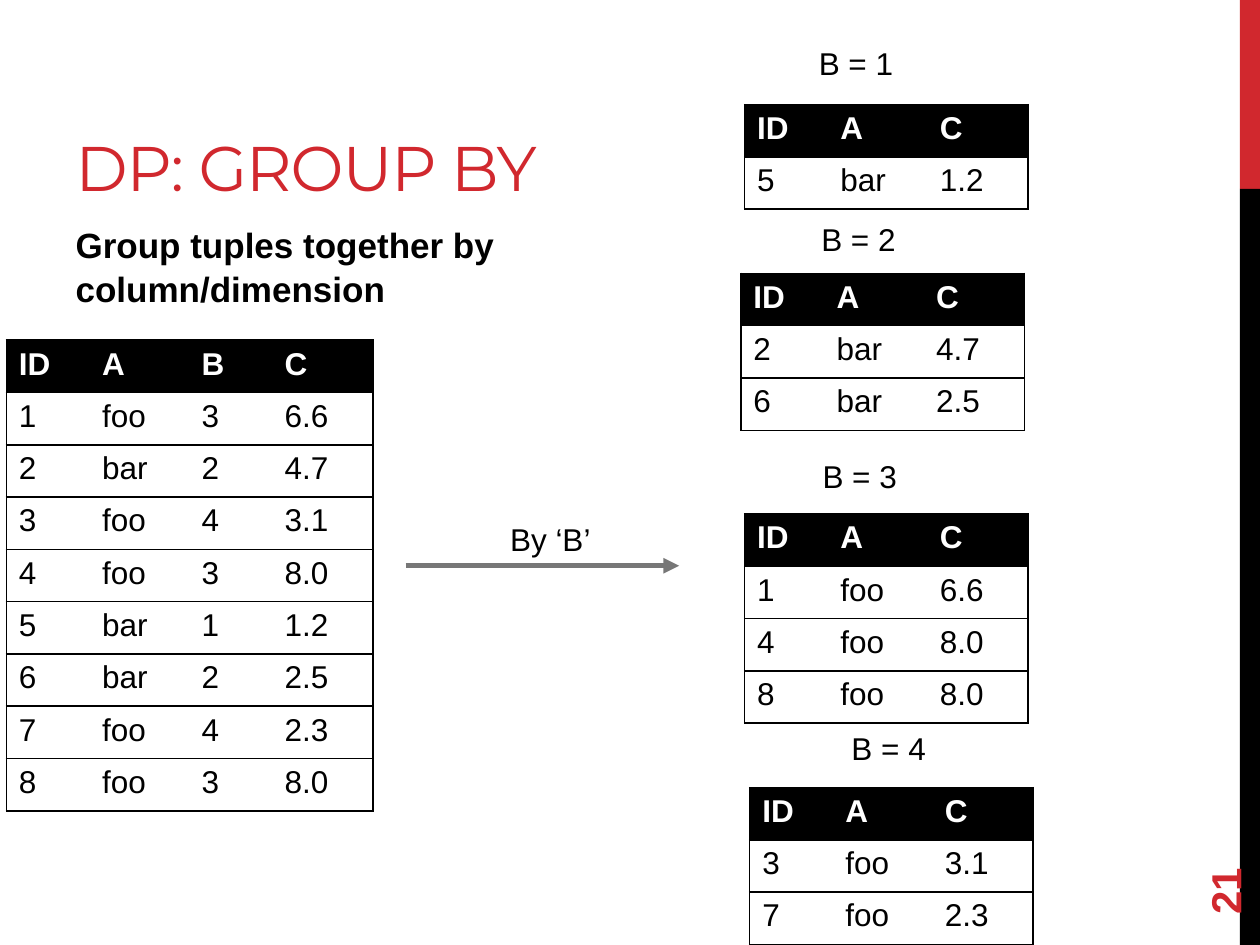
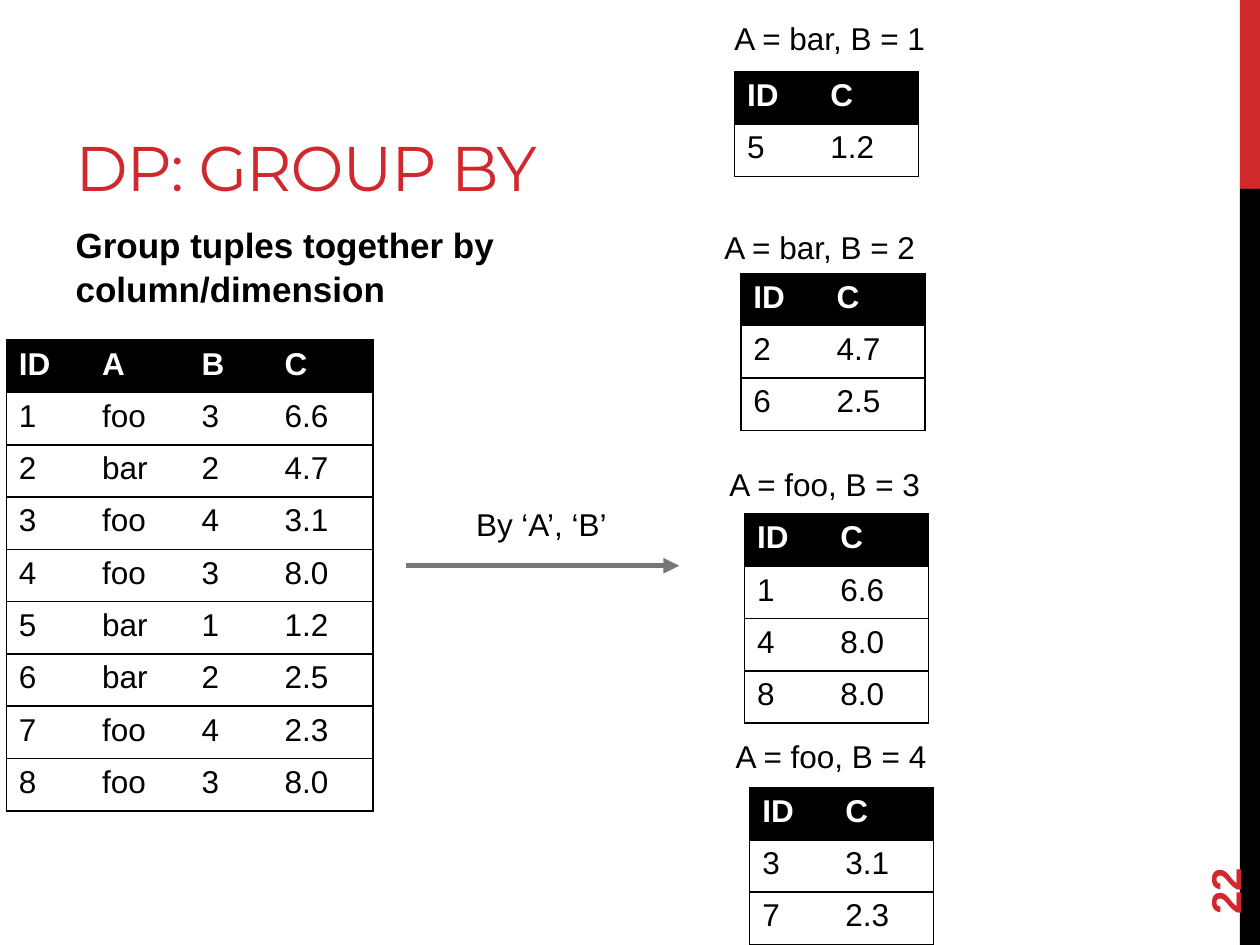
from dataclasses import dataclass
from itertools import groupby

from lxml.etree import SubElement
from pptx import Presentation
from pptx.dml.color import RGBColor
from pptx.enum.shapes import MSO_CONNECTOR, MSO_SHAPE
from pptx.enum.text import MSO_ANCHOR, MSO_AUTO_SIZE, PP_ALIGN
from pptx.oxml.ns import qn
from pptx.slide import Slide
from pptx.util import Inches, Pt


@dataclass(frozen=True)
class Theme:
    red: RGBColor = RGBColor(0xD1, 0x28, 0x2E)
    black: RGBColor = RGBColor(0, 0, 0)
    white: RGBColor = RGBColor(0xFF, 0xFF, 0xFF)
    grey: RGBColor = RGBColor(0x77, 0x77, 0x77)
    title_font: str = "Montserrat"
    body_font: str = "Arial"
    title_size: Pt = Pt(36)
    number_size: Pt = Pt(24)
    body_size: Pt = Pt(20)
    text_size: Pt = Pt(18)
    border: Pt = Pt(1)
    arrow: Pt = Pt(3)


@dataclass(frozen=True)
class Box:
    left: float
    top: float
    width: float
    height: float

    def emu(self) -> tuple:
        return tuple(Inches(v) for v in (self.left, self.top, self.width, self.height))


@dataclass(frozen=True)
class Band:
    box: Box
    color: RGBColor


@dataclass(frozen=True)
class Panel:
    """Places for one group: its label and its table."""
    label: Box
    table_left: float
    table_top: float


@dataclass(frozen=True)
class GroupSlide:
    number: int
    keys: str
    caption: Box
    panels: tuple


THEME = Theme()
BANDS = (Band(Box(9.84, 0, 0.16, 1.5), THEME.red),
         Band(Box(9.84, 1.5, 0.16, 6), THEME.black))
TITLE_BOX = Box(0.5, 0.17, 7.12, 1.5)
BODY_BOX = Box(0.5, 1.71, 5.66, 0.82)
NUMBER_BOX = Box(9, 6.44, 1.44, 0.4)

COLUMN_WIDTHS = {"ID": 0.66, "A": 0.79, "B": 0.66, "C": 0.8}
ROW_HEIGHT = Inches(0.83) // 2
RECORDS = [dict(zip(COLUMN_WIDTHS, line.split())) for line in (
    "1 foo 3 6.6",
    "2 bar 2 4.7",
    "3 foo 4 3.1",
    "4 foo 3 8.0",
    "5 bar 1 1.2",
    "6 bar 2 2.5",
    "7 foo 4 2.3",
    "8 foo 3 8.0",
)]

SLIDES = (
    GroupSlide(21, "B", Box(3.95, 4.08, 1.23, 0.4), (
        Panel(Box(6.4, 0.3, 0.8, 0.4), 5.91, 0.83),
        Panel(Box(6.42, 1.7, 0.8, 0.4), 5.88, 2.17),
        Panel(Box(6.43, 3.58, 0.8, 0.4), 5.91, 4.08),
        Panel(Box(6.66, 5.74, 0.8, 0.4), 5.95, 6.25),
    )),
    GroupSlide(22, "AB", Box(3.68, 3.96, 1.96, 0.4), (
        Panel(Box(5.73, 0.1, 1.73, 0.4), 5.83, 0.57),
        Panel(Box(5.65, 1.76, 1.73, 0.4), 5.88, 2.17),
        Panel(Box(5.69, 3.64, 1.73, 0.4), 5.91, 4.08),
        Panel(Box(5.74, 5.8, 1.73, 0.4), 5.95, 6.25),
    )),
)


def add_run(p, text: str, size: Pt = THEME.text_size, color: RGBColor = THEME.black,
            bold: bool = False, font: str = THEME.body_font):
    r = p.add_run()
    r.text = text
    r.font.name, r.font.size, r.font.bold = font, size, bold
    r.font.color.rgb = color
    return r


def place(sp, box: Box) -> None:
    sp.left, sp.top, sp.width, sp.height = box.emu()


def add_label(s: Slide, box: Box, text: str, wrap: bool = False) -> None:
    tf = s.shapes.add_textbox(*box.emu()).text_frame
    tf.word_wrap = wrap
    add_run(tf.paragraphs[0], text)


def add_frame(s: Slide, number: int) -> None:
    """Draw the side bands, title, lead sentence and slide number."""
    for band in BANDS:
        sp = s.shapes.add_shape(MSO_SHAPE.RECTANGLE, *band.box.emu())
        sp.shadow.inherit = False
        sp.fill.solid()
        sp.fill.fore_color.rgb = band.color
        sp.line.fill.background()

    title, body = s.shapes.title, s.placeholders[1]
    for sp, box, anchor in ((title, TITLE_BOX, MSO_ANCHOR.BOTTOM),
                            (body, BODY_BOX, MSO_ANCHOR.TOP)):
        place(sp, box)
        sp.text_frame.auto_size = MSO_AUTO_SIZE.NONE
        sp.text_frame.vertical_anchor = anchor
        sp.text_frame.paragraphs[0].alignment = PP_ALIGN.LEFT

    r = add_run(title.text_frame.paragraphs[0], "DP: GROUP BY", THEME.title_size,
                THEME.red, font=THEME.title_font)
    r.font._element.set("spc", "-60")

    p = body.text_frame.paragraphs[0]
    p.space_before, p.space_after, p.line_spacing = Pt(0), Pt(6), 1.05
    pPr = p._p.get_or_add_pPr()
    pPr.set("marL", "0")
    pPr.set("indent", "0")
    SubElement(pPr, qn("a:buNone"))
    add_run(p, "Group tuples together by column/dimension", THEME.body_size, bold=True)

    sp = s.shapes.add_textbox(*NUMBER_BOX.emu())
    sp.rotation = 270
    tf = sp.text_frame
    tf.word_wrap = True
    tf.vertical_anchor = MSO_ANCHOR.MIDDLE
    add_run(tf.paragraphs[0], str(number), THEME.number_size, THEME.red, bold=True)


def set_borders(cell, sides: str) -> None:
    """Rule the named sides (from L, R, T, B) and clear the others."""
    tcPr = cell._tc.get_or_add_tcPr()
    for side in "LRTB":
        ln = SubElement(tcPr, qn(f"a:ln{side}"), w=str(int(THEME.border)))
        if side in sides:
            fill = SubElement(ln, qn("a:solidFill"))
            SubElement(fill, qn("a:srgbClr"), val=str(THEME.black))
        else:
            SubElement(ln, qn("a:noFill"))


def add_records(s: Slide, left: float, top: float, columns: list, records: list) -> None:
    rows = [columns] + [[record[c] for c in columns] for record in records]
    width = Inches(sum(COLUMN_WIDTHS[c] for c in columns))
    table = s.shapes.add_table(len(rows), len(columns), Inches(left), Inches(top),
                               width, ROW_HEIGHT * len(rows)).table
    table.horz_banding = False
    for col, name in zip(table.columns, columns):
        col.width = Inches(COLUMN_WIDTHS[name])
    for i, values in enumerate(rows):
        header = i == 0
        table.rows[i].height = ROW_HEIGHT
        for j, value in enumerate(values):
            cell = table.cell(i, j)
            set_borders(cell, "TB" + "L" * (j == 0) + "R" * (j == len(columns) - 1))
            cell.fill.solid()
            cell.fill.fore_color.rgb = THEME.black if header else THEME.white
            add_run(cell.text_frame.paragraphs[0], value, bold=header,
                    color=THEME.white if header else THEME.black)


def add_arrow(s: Slide) -> None:
    y = Inches(4.49)
    c = s.shapes.add_connector(MSO_CONNECTOR.STRAIGHT, Inches(3.22), y, Inches(5.39), y)
    c.line.color.rgb = THEME.grey
    c.line.width = THEME.arrow
    spPr = c._element.spPr
    SubElement(spPr.find(qn("a:ln")), qn("a:tailEnd"), type="triangle")
    SubElement(spPr, qn("a:effectLst"))


def add_groups(s: Slide, spec: GroupSlide) -> None:
    """Split the records by the key columns, one labelled table per group."""
    def key(record: dict) -> tuple:
        return tuple(record[k] for k in spec.keys)

    columns = [c for c in COLUMN_WIDTHS if c not in spec.keys]
    groups = groupby(sorted(RECORDS, key=key), key)
    for panel, (values, records) in zip(spec.panels, groups):
        label = ", ".join(f"{k} = {v}" for k, v in zip(spec.keys, values))
        add_label(s, panel.label, label)
        add_records(s, panel.table_left, panel.table_top, columns, list(records))


def main() -> None:
    prs = Presentation()
    prs.slide_width, prs.slide_height = Inches(10), Inches(7.5)
    for spec in SLIDES:
        s = prs.slides.add_slide(prs.slide_layouts[1])
        add_frame(s, spec.number)
        add_records(s, 0.05, 2.7, list(COLUMN_WIDTHS), RECORDS)
        caption = "By " + ", ".join(f"‘{k}’" for k in spec.keys)
        add_label(s, spec.caption, caption, wrap=True)
        add_arrow(s)
        add_groups(s, spec)
    prs.save("out.pptx")


if __name__ == "__main__":
    main()
